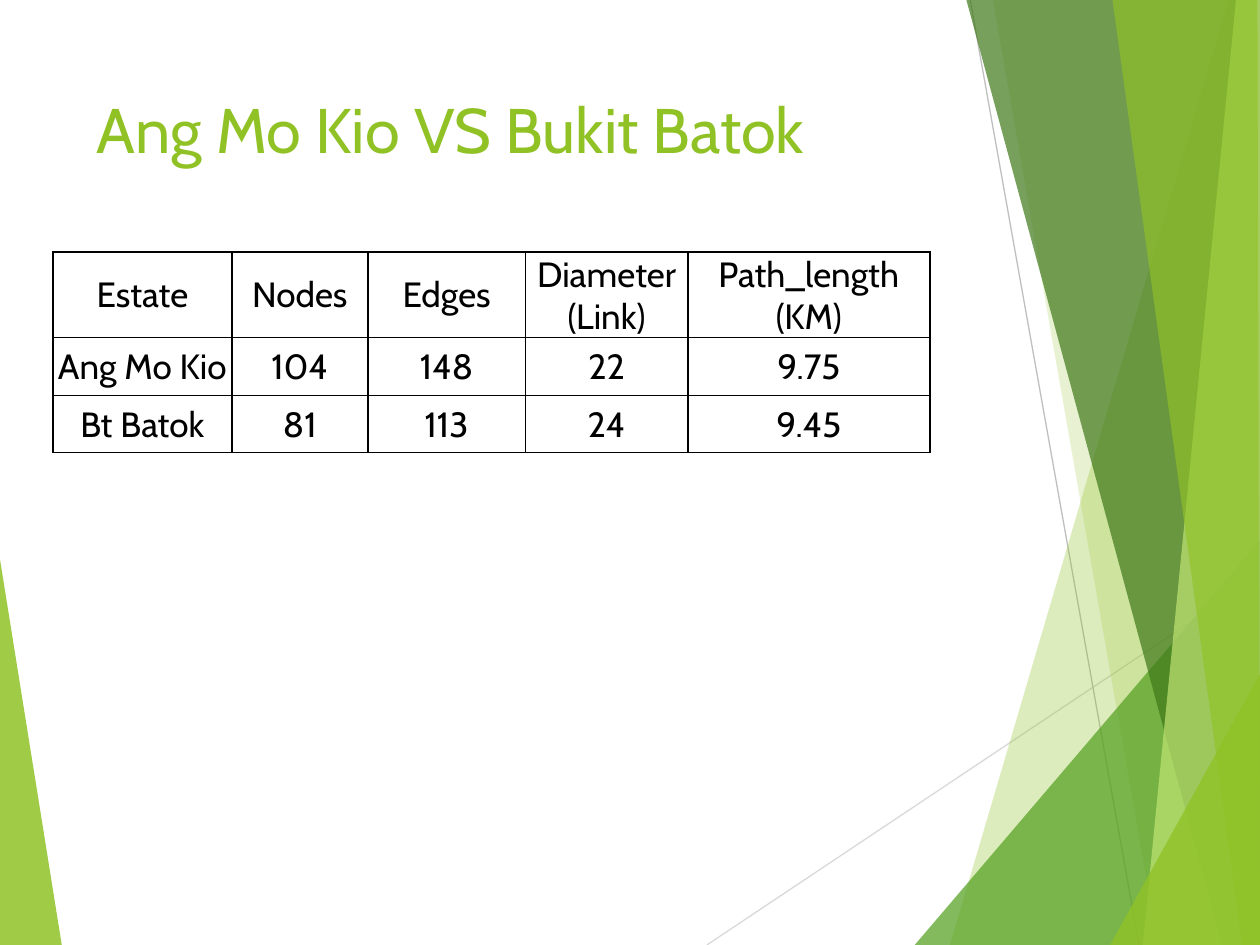
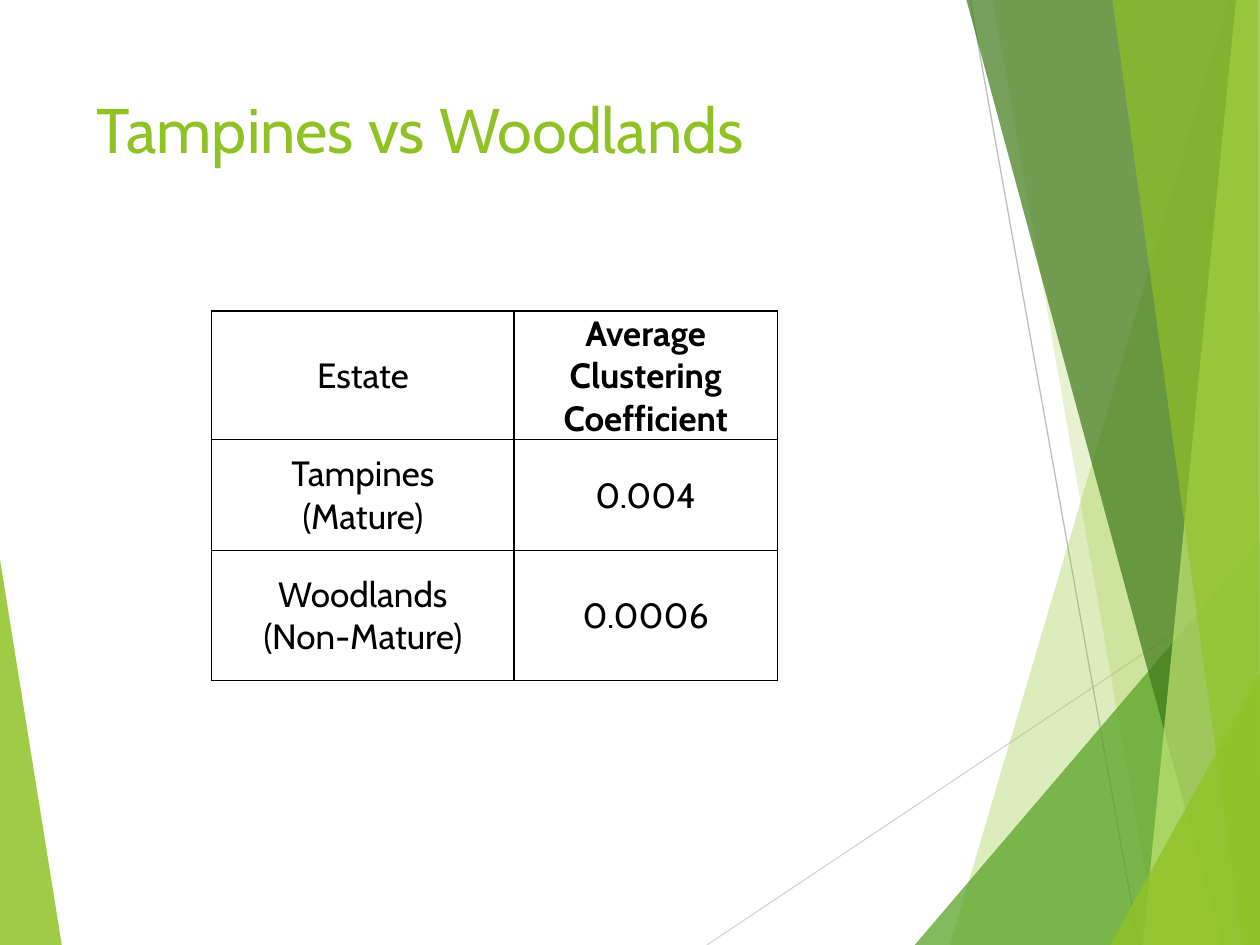
from lxml import etree
from pptx import Presentation
from pptx.dml.color import RGBColor
from pptx.enum.shapes import MSO_CONNECTOR as Connector
from pptx.enum.text import MSO_ANCHOR as Anchor, PP_ALIGN as Align
from pptx.oxml import parse_xml
from pptx.oxml.ns import nsdecls, qn
from pptx.util import Inches, Pt

FONT = "Cabin"
LIME, GREEN, FOREST, PALE = "90C226", "54A021", "3F7819", "C0E474"
BLACK = "000000"
WIDTH, HEIGHT = 10, 7.5

SLIDES = [
    {
        "title": "Ang Mo Kio VS Bukit Batok",
        "origin": (0.42, 2),
        "columns": [1.42, 1.08, 1.25, 1.29, 1.92],
        "heights": [0.68, 0.46, 0.45],
        "rows": [
            ["Estate", "Nodes", "Edges", "Diameter (Link)", "Path_length (KM)"],
            ["Ang Mo Kio", "104", "148", "22", "9.75"],
            ["Bt Batok", "81", "113", "24", "9.45"],
        ],
        "bold": [],
    },
    {
        "title": "Tampines vs Woodlands",
        "origin": (1.68, 2.47),
        "columns": [2.4, 2.09],
        "heights": [1.02, 0.88, 1.03],
        "rows": [
            ["Estate", "Average Clustering Coefficient"],
            ["Tampines\n(Mature)", "0.004"],
            ["Woodlands\n(Non-Mature)", "0.0006"],
        ],
        "bold": [(0, 1)],
    },
]

LEFT_FACET = (LIME, 85, [(0, 4.44), (0.49, HEIGHT), (0, HEIGHT)])
RAYS = [
    ("D9D9D9", (5.61, HEIGHT), (WIDTH, 4.57)),
    ("BFBFBF", (7.7, 0), (9.04, HEIGHT)),
]
BOTTOM_RIGHT, TOP_RIGHT = (WIDTH, HEIGHT), (WIDTH, 0)
RIGHT_FACETS = [
    (LIME, 30, [(9.75, 0), (7.54, HEIGHT), BOTTOM_RIGHT, TOP_RIGHT]),
    (LIME, 20, [(7.88, 0), (9.19, HEIGHT), BOTTOM_RIGHT, TOP_RIGHT]),
    (GREEN, 72, [(7.26, HEIGHT), (WIDTH, 4.29), BOTTOM_RIGHT]),
    (FOREST, 70, [(7.67, 0), (9.7, HEIGHT), BOTTOM_RIGHT, TOP_RIGHT]),
    (PALE, 70, [(9.81, 0), (9.07, HEIGHT), BOTTOM_RIGHT, TOP_RIGHT]),
    (LIME, 65, [(8.83, 0), (9.86, HEIGHT), BOTTOM_RIGHT, (9.98, 0)]),
    (LIME, 80, [(8.81, HEIGHT), (WIDTH, 5.35), BOTTOM_RIGHT]),
]


def color(value):
    return RGBColor.from_string(value)


def add_text(paragraph, text, size, fill, bold=False):
    run = paragraph.add_run()
    run.text = text
    run.font.name = FONT
    run.font.size = Pt(size)
    run.font.bold = bold
    run.font.color.rgb = color(fill)


def add_facet(slide, fill, opacity, points):
    corners = [(Inches(x), Inches(y)) for x, y in points]
    builder = slide.shapes.build_freeform(*corners[0])
    builder.add_line_segments(corners[1:], close=True)
    shape = builder.convert_to_shape()
    shape.shadow.inherit = False
    shape.line.fill.background()
    shape.fill.solid()
    shape.fill.fore_color.rgb = color(fill)
    tint = shape._element.spPr.find(qn("a:solidFill"))[0]
    etree.SubElement(tint, qn("a:alpha")).set("val", str(opacity * 1000))


def add_ray(slide, stroke, start, end):
    ends = [Inches(length) for length in start + end]
    connector = slide.shapes.add_connector(Connector.STRAIGHT, *ends)
    connector.line.color.rgb = color(stroke)
    connector.line.width = Pt(0.75)
    etree.SubElement(connector._element.spPr, qn("a:effectLst"))


def add_backdrop(slide):
    add_facet(slide, *LEFT_FACET)
    for ray in RAYS:
        add_ray(slide, *ray)
    for facet in RIGHT_FACETS:
        add_facet(slide, *facet)


def add_title(slide, text):
    box = slide.shapes.add_textbox(Inches(0.67), Inches(0.67), Inches(6.94), Inches(1.44))
    box.text_frame.word_wrap = True
    add_text(box.text_frame.paragraphs[0], text, 36, LIME)


def style_cell(cell):
    cell.margin_left = cell.margin_right = cell.margin_top = Inches(0.01)
    cell.margin_bottom = 0
    cell.vertical_anchor = Anchor.MIDDLE
    properties = cell._tc.get_or_add_tcPr()
    for side in ("lnL", "lnR", "lnT", "lnB"):
        properties.append(parse_xml(
            f'<a:{side} {nsdecls("a")} w="{Pt(1)}"><a:solidFill>'
            f'<a:srgbClr val="{BLACK}"/></a:solidFill></a:{side}>'
        ))
    cell.fill.background()


def add_estate_table(slide, content):
    columns, heights = content["columns"], content["heights"]
    left, top = content["origin"]
    table = slide.shapes.add_table(
        len(heights), len(columns), Inches(left), Inches(top),
        Inches(sum(columns)), Inches(sum(heights)),
    ).table
    table.first_row = table.horz_banding = False
    for column, width in zip(table.columns, columns):
        column.width = Inches(width)
    for row, height in zip(table.rows, heights):
        row.height = Inches(height)
    for r, texts in enumerate(content["rows"]):
        for c, text in enumerate(texts):
            cell = table.cell(r, c)
            style_cell(cell)
            for i, line in enumerate(text.split("\n")):
                frame = cell.text_frame
                paragraph = frame.add_paragraph() if i else frame.paragraphs[0]
                paragraph.alignment = Align.CENTER
                add_text(paragraph, line, 20, BLACK, (r, c) in content["bold"])


def main():
    presentation = Presentation()
    presentation.slide_width, presentation.slide_height = Inches(WIDTH), Inches(HEIGHT)
    for content in SLIDES:
        slide = presentation.slides.add_slide(presentation.slide_layouts[6])
        add_backdrop(slide)
        add_title(slide, content["title"])
        add_estate_table(slide, content)
    presentation.save("out.pptx")


if __name__ == "__main__":
    main()
